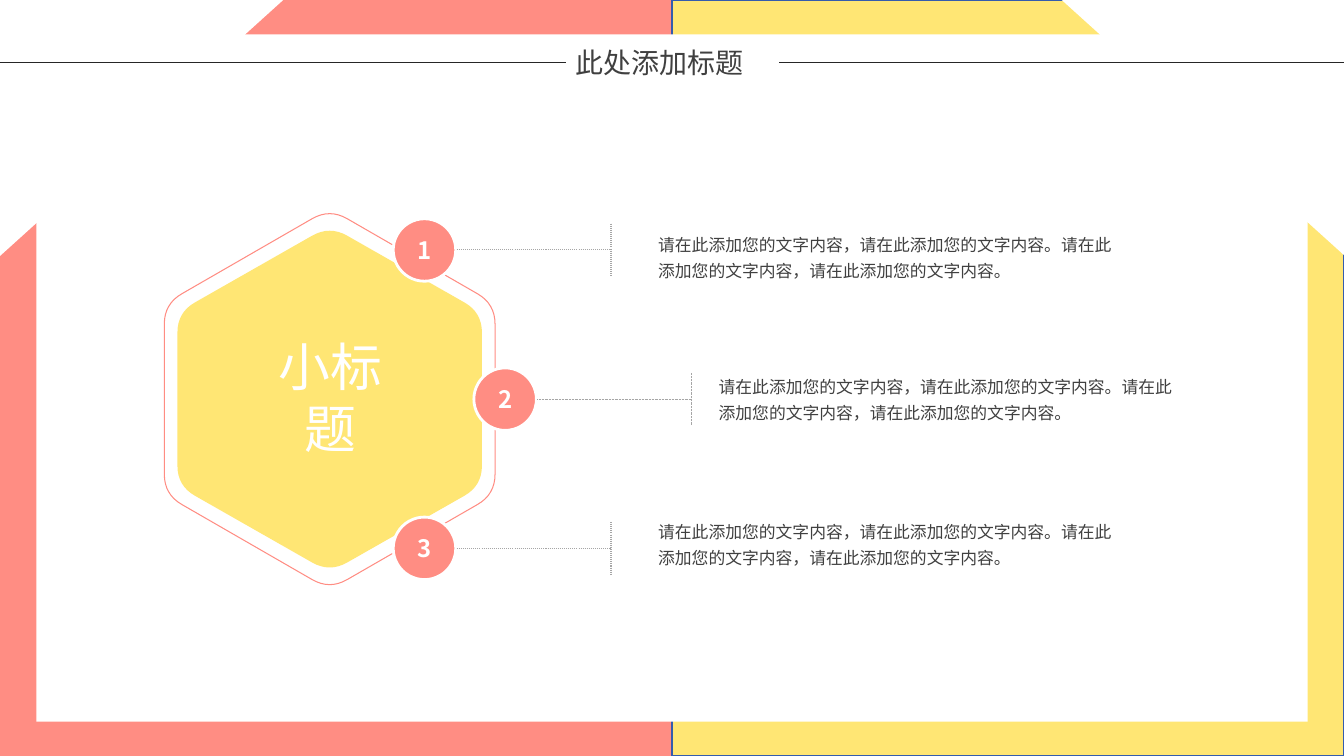
from math import cos, radians, sin, sqrt

from lxml.etree import SubElement
from pptx import Presentation
from pptx.dml.color import RGBColor
from pptx.enum.dml import MSO_LINE_DASH_STYLE as Dash
from pptx.enum.shapes import MSO_CONNECTOR as Connector, MSO_SHAPE as Shape
from pptx.enum.text import MSO_ANCHOR as Anchor, PP_ALIGN as Align
from pptx.oxml.ns import qn
from pptx.util import Inches, Pt

CORAL = RGBColor(0xFF, 0x8D, 0x83)
YELLOW = RGBColor(0xFF, 0xE6, 0x74)
WHITE = RGBColor(0xFF, 0xFF, 0xFF)
BLUE = RGBColor(0x35, 0x5C, 0xAD)
GREY = RGBColor(0xA6, 0xA6, 0xA6)
INK = RGBColor(0x40, 0x40, 0x40)
RULE = RGBColor(0x26, 0x26, 0x26)

WIDTH, HEIGHT = 13.33, 7.5
HEX_CENTER = (3.27, 3.96)
BADGE = 0.62
BODY = "请在此添加您的文字内容，请在此添加您的文字内容。" * 2
# badge left, badge top, line width, text left, text top
ITEMS = [
    (3.9, 2.17, 0.75, 6.43, 2.22),
    (4.7, 3.65, 0.5, 7.03, 3.63),
    (3.9, 5.13, 0.75, 6.43, 5.07),
]


def rounded_hexagon(half_width, radius, cut=0.2, steps=8):
    """Return the outline points of an upright hexagon with rounded corners."""
    cx, cy = HEX_CENTER
    corners = []
    for k in range(6):
        angle = radians(60 * k - 90)
        corners.append((cx + half_width * cos(angle) / cos(radians(30)),
                        cy + radius * sin(angle)))

    def toward(start, end):
        dx, dy = end[0] - start[0], end[1] - start[1]
        length = sqrt(dx * dx + dy * dy)
        return start[0] + dx * cut / length, start[1] + dy * cut / length

    points = []
    for k, corner in enumerate(corners):
        first = toward(corner, corners[k - 1])
        last = toward(corner, corners[(k + 1) % 6])
        for step in range(steps + 1):
            t = step / steps
            points.append(tuple((1 - t) ** 2 * a + 2 * t * (1 - t) * b + t * t * c
                                for a, b, c in zip(first, corner, last)))
    return points


class SlideBuilder:
    def __init__(self, slide, font="Noto Sans CJK SC"):
        self.slide, self.font = slide, font

    def paint(self, shape, fill=None, line=None, line_width=1):
        shape.shadow.inherit = False
        if fill is None:
            shape.fill.background()
        else:
            shape.fill.solid()
            shape.fill.fore_color.rgb = fill
        if line is None:
            shape.line.fill.background()
        else:
            shape.line.color.rgb = line
            shape.line.width = Pt(line_width)
        return shape

    def preset(self, kind, box, flips=(), **paint):
        shape = self.slide.shapes.add_shape(kind, *map(Inches, box))
        for flip in flips:
            shape._element.spPr.xfrm.set(flip, "1")
        return self.paint(shape, **paint)

    def outline(self, points, **paint):
        points = [(Inches(x), Inches(y)) for x, y in points]
        builder = self.slide.shapes.build_freeform(*points[0])
        builder.add_line_segments(points[1:], close=True)
        return self.paint(builder.convert_to_shape(), **paint)

    def line(self, start, end, color, width, dash=None, shapes=None):
        line = (shapes or self.slide.shapes).add_connector(
            Connector.STRAIGHT, *map(Inches, start + end))
        for name, value in {"width": Pt(width), "dash_style": dash}.items():
            setattr(line.line, name, value)
        line.line.color.rgb = color
        SubElement(line._element.spPr, qn("a:effectLst"))

    def label(self, shape, text, size, color, bold=False, margins=(0.1, 0.05),
              anchor=Anchor.TOP, align=Align.LEFT, spacing=None):
        side, edge = map(Inches, margins)
        frame = shape.text_frame
        frame_format = {"word_wrap": True, "vertical_anchor": anchor,
                        "margin_left": side, "margin_right": side,
                        "margin_top": edge, "margin_bottom": edge}
        for name, value in frame_format.items():
            setattr(frame, name, value)
        paragraph = frame.paragraphs[0]
        for name, value in {"alignment": align, "line_spacing": spacing}.items():
            setattr(paragraph, name, value)
        run = paragraph.add_run()
        run.text = text
        run.font.color.rgb = color
        for name, value in {"size": Pt(size), "bold": bold, "name": self.font}.items():
            setattr(run.font, name, value)
        SubElement(run.font._element, qn("a:ea"), typeface=self.font)

    def textbox(self, box, text, size, color, **text_format):
        shape = self.slide.shapes.add_textbox(*map(Inches, box))
        self.label(shape, text, size, color, **text_format)

    def title(self, box, text, size, color, **text_format):
        """Place the title placeholder in front of everything drawn so far."""
        title = self.slide.shapes.title
        for name, value in zip(("left", "top", "width", "height"), box):
            setattr(title, name, Inches(value))
        self.label(title, text, size, color, **text_format)
        self.slide.shapes._spTree.append(title._element)

    def item(self, number, left, top, line_width, text_left, text_top):
        """Add a numbered badge, its dotted bracket and its text."""
        badge = self.preset(Shape.OVAL, (left, top, BADGE, BADGE),
                            fill=CORAL, line=WHITE, line_width=2)
        self.label(badge, str(number), 17.1, WHITE, bold=True,
                   anchor=Anchor.MIDDLE, align=Align.CENTER)
        middle = top + BADGE / 2
        start, end = left + BADGE + 0.01, left + 2.16
        bracket = self.slide.shapes.add_group_shape().shapes
        for ends in (((start, middle), (end, middle)),
                     ((end, middle - 0.26), (end, middle + 0.26))):
            self.line(*ends, GREY, line_width, Dash.ROUND_DOT, bracket)
        self.textbox((text_left, text_top, 4.83, 0.6), BODY, 12, INK, spacing=1.3)


def main():
    deck = Presentation()
    deck.slide_width, deck.slide_height = Inches(WIDTH), Inches(HEIGHT)
    slide = deck.slides.add_slide(deck.slide_layouts[5])
    slide.background.fill.solid()
    slide.background.fill.fore_color.rgb = CORAL
    page = SlideBuilder(slide)

    page.preset(Shape.RECTANGLE, (WIDTH / 2, 0, WIDTH / 2, HEIGHT), fill=YELLOW, line=BLUE)
    page.preset(Shape.RECTANGLE, (0.36, 0.34, 12.61, 6.82), fill=WHITE)
    for left, flips in ((0, ["flipV"]), (10.53, ["flipH", "flipV"])):
        page.preset(Shape.RIGHT_TRIANGLE, (left, 0, 2.81, 2.54), flips, fill=WHITE)

    page.outline(rounded_hexagon(1.51, 1.72), fill=YELLOW)
    page.textbox((2.51, 3.32, 1.53, 1.24), "小标题", 37, WHITE,
                 margins=(0, 0), align=Align.CENTER)
    page.outline(rounded_hexagon(1.64, 1.89), line=CORAL, line_width=0.75)

    for number, item in enumerate(ITEMS, 1):
        page.item(number, *item)

    for start, end in ((0, 5.61), (7.73, WIDTH)):
        page.line((start, 0.62), (end, 0.62), RULE, 0.5)
    page.title((5.61, 0.4, 2.12, 0.44), "此处添加标题", 20, INK, align=Align.JUSTIFY)
    deck.save("out.pptx")


if __name__ == "__main__":
    main()
